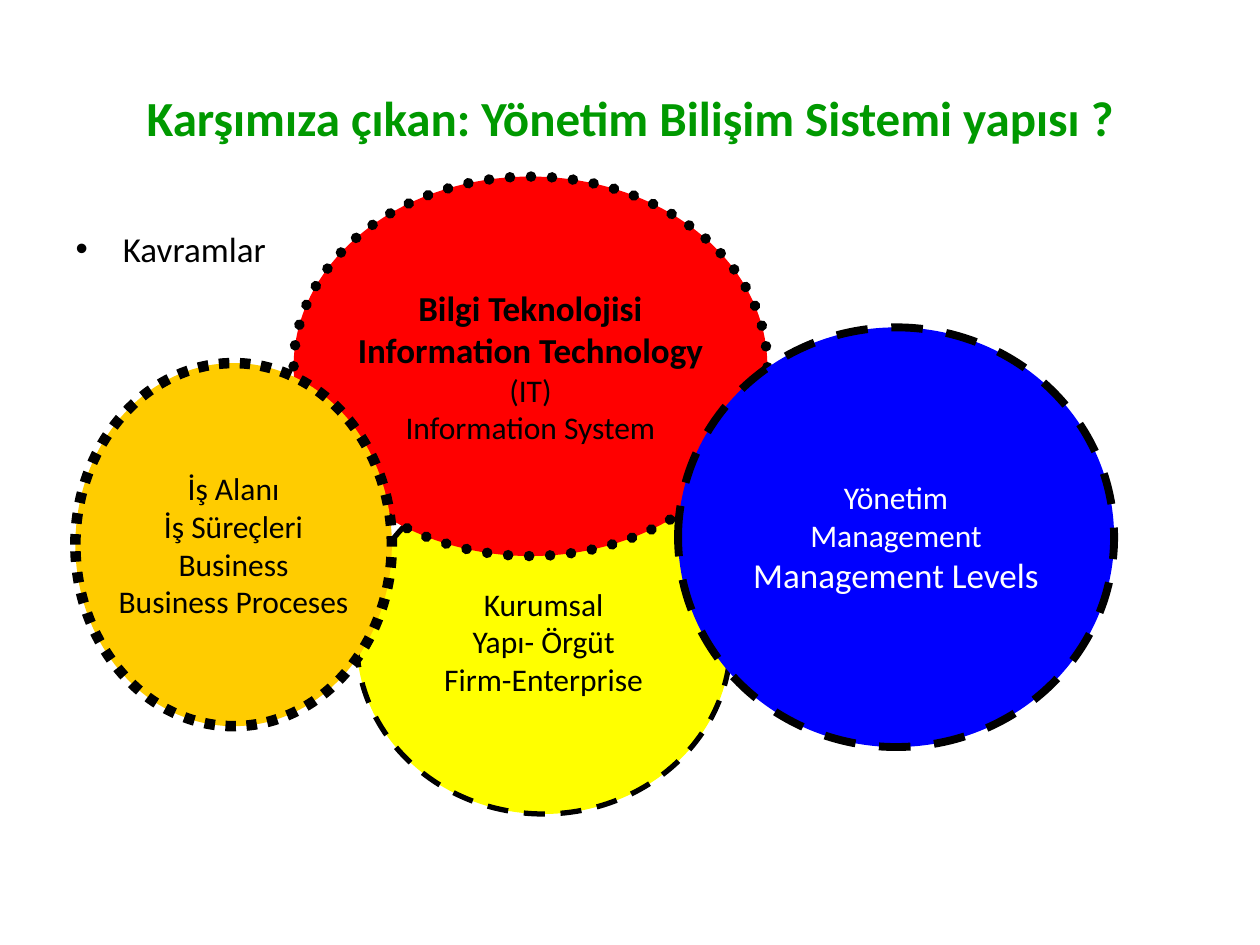
from pptx import Presentation
from pptx.util import Cm, Pt
from pptx.dml.color import RGBColor as RGB
from pptx.enum.dml import MSO_LINE as Dash
from pptx.enum.shapes import MSO_SHAPE as Kind
from pptx.enum.text import PP_ALIGN as Align, MSO_ANCHOR as Anchor

COLORS = {"green": "009900", "black": "000000", "white": "FFFFFF", "yellow": "FFFF00",
          "red": "FF0000", "blue": "0000FF", "orange": "FFCC00"}
FONT = "Calibri"
TITLE = "Karşımıza çıkan: Yönetim Bilişim Sistemi yapısı ?"
TOPIC = "Kavramlar"

OVALS = [
    {"box": (7.19, 9.45, 7.54, 6.96), "fill": "yellow", "ink": "black",
     "line": (3, Dash.DASH, "flat"),
     "text": [("Kurumsal", 18, False), ("Yapı- Örgüt", 18, False),
              ("Firm-Enterprise", 18, False)]},
    {"box": (5.92, 3.56, 9.55, 7.65), "fill": "red", "ink": "black",
     "line": (6, Dash.ROUND_DOT, "rnd"),
     "text": [("Bilgi Teknolojisi", 20, True), ("Information Technology", 20, True),
              ("(IT)", 18, False), ("Information System", 18, False)]},
    {"box": (13.67, 6.6, 8.79, 8.46), "fill": "blue", "ink": "white",
     "line": (4.5, Dash.DASH, "flat"),
     "text": [("Yönetim", 18, False), ("Management", 18, False),
              ("Management Levels", 20, False)]},
    {"box": (1.52, 7.32, 6.38, 7.32), "fill": "orange", "ink": "black",
     "line": (6, Dash.ROUND_DOT, "flat"),
     "text": [("İş Alanı", 18, False), ("İş Süreçleri", 18, False),
              ("Business", 18, False), ("Business Proceses", 18, False)]},
]


def color(name):
    return RGB.from_string(COLORS[name])


def style(para, size, ink, bold=False):
    font = para.font
    font.name, font.size, font.bold = FONT, Pt(size), bold
    font.color.rgb = color(ink)


def place(shape, box):
    shape.left, shape.top, shape.width, shape.height = map(Cm, box)


def oval(slide, box, fill, ink, line, text):
    shape = slide.shapes.add_shape(Kind.OVAL, *map(Cm, box))
    shape.shadow.inherit = False
    shape.fill.solid()
    shape.fill.fore_color.rgb = color(fill)
    width, dash, cap = line
    shape.line.color.rgb = color("black")
    shape.line.width = Pt(width)
    shape.line.dash_style = dash
    shape.line._ln.set("cap", cap)
    frame = shape.text_frame
    frame.word_wrap = False
    frame.vertical_anchor = Anchor.MIDDLE
    frame.text = "\n".join(words for words, size, bold in text)
    for para, (words, size, bold) in zip(frame.paragraphs, text):
        para.alignment = Align.CENTER
        style(para, size, ink, bold)


deck = Presentation()
deck.slide_width, deck.slide_height = Cm(25.4), Cm(19.05)
slide = deck.slides.add_slide(deck.slide_layouts[1])

title, body = slide.placeholders
place(title, (1.27, 0.76, 22.86, 3.18))
title.text_frame.text = TITLE
title.text_frame.vertical_anchor = Anchor.MIDDLE
style(title.text_frame.paragraphs[0], 28, "green", True)

place(body, (1.27, 4.45, 22.86, 12.57))
body.text_frame.text = TOPIC
style(body.text_frame.paragraphs[0], 20, "black")

for item in OVALS:
    oval(slide, **item)

deck.save("out.pptx")
